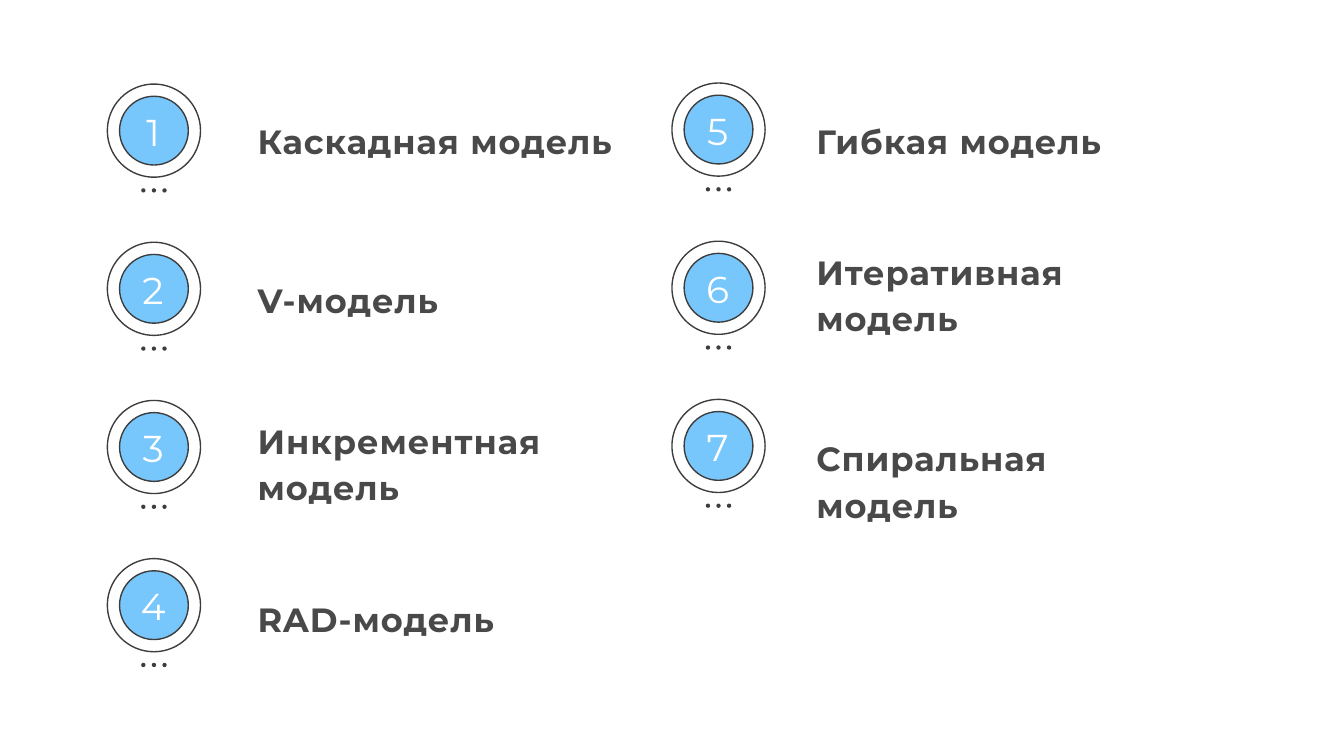
import pptx
import pptx.dml.color
import pptx.enum.shapes
import pptx.enum.text
import pptx.oxml.ns
import pptx.util
from pptx.util import Cm

WHITE = pptx.dml.color.RGBColor(0xFF, 0xFF, 0xFF)
BLUE = pptx.dml.color.RGBColor(0x77, 0xC6, 0xFC)
OUTLINE = pptx.dml.color.RGBColor(0x3D, 0x3D, 0x3D)
TEXT = pptx.dml.color.RGBColor(0x49, 0x49, 0x49)

# All lengths below are in centimetres
ROW_PITCH = 2.99
RING, DISC = 1.76, 1.3
DOT, DOT_PITCH, DOT_TOP = 0.08, 0.2, 1.97
LABEL_WIDTH, LABEL_HEIGHT = 7.27, 1.07

# Badge left, badge top, label left, first number, (label, label top)
COLUMNS = [
    (2.03, 1.59, 4.62, 1, [("Каскадная модель", 1.93), ("V-модель", 4.93),
                           ("Инкрементная модель", 7.59), ("RAD-модель", 10.95)]),
    (12.7, 1.57, 15.18, 5, [("Гибкая модель", 1.93), ("Итеративная модель", 4.39),
                            ("Спиральная модель", 7.92)]),
]


def add_circle(shapes, left, top, size, fill, line=None):
    circle = shapes.add_shape(pptx.enum.shapes.MSO_SHAPE.OVAL,
                              Cm(left), Cm(top), Cm(size), Cm(size))
    circle.shadow.inherit = False
    circle.fill.solid()
    circle.fill.fore_color.rgb = fill
    if line is None:
        circle.line.fill.background()
    else:
        circle.line.color.rgb = line
        circle.line.width = pptx.util.Pt(0.75)


def add_text(slide, words, left, top, width, height, size, color):
    frame = slide.shapes.add_textbox(Cm(left), Cm(top), Cm(width), Cm(height)).text_frame
    frame.word_wrap = True
    frame.margin_left = frame.margin_right = Cm(0.25)
    frame.margin_top = frame.margin_bottom = Cm(0.25)
    paragraph = frame.paragraphs[0]
    paragraph.text = words
    paragraph.font.name = "Montserrat"
    paragraph.font.size = pptx.util.Pt(size)
    paragraph.font.color.rgb = color
    return frame


def add_badge(slide, number, left, top):
    shapes = slide.shapes.add_group_shape().shapes
    inset = (RING - DISC) / 2
    # Ring and disc
    add_circle(shapes, left, top, RING, WHITE, OUTLINE)
    add_circle(shapes, left + inset, top + inset, DISC, BLUE, OUTLINE)
    # Three dots centred below the ring
    for step in (-1, 0, 1):
        dot_left = left + (RING - DOT) / 2 + step * DOT_PITCH
        add_circle(shapes, dot_left, top + DOT_TOP, DOT, OUTLINE)
    # Number
    frame = add_text(slide, str(number), left + inset, top + 0.41, 1.27, 0.97, 20, WHITE)
    frame.vertical_anchor = pptx.enum.text.MSO_ANCHOR.MIDDLE
    frame.paragraphs[0].alignment = pptx.enum.text.PP_ALIGN.CENTER


def add_label(slide, words, left, top):
    frame = add_text(slide, words, left, top, LABEL_WIDTH, LABEL_HEIGHT, 18, TEXT)
    paragraph = frame.paragraphs[0]
    paragraph.line_spacing = 1.15
    paragraph.font.bold = True
    # Letter spacing of half a point
    for properties in paragraph._p.iter(pptx.oxml.ns.qn("a:defRPr")):
        properties.set("spc", "50")


def add_column(slide, badge_left, badge_top, label_left, first_number, models):
    for row, (model, label_top) in enumerate(models):
        add_badge(slide, first_number + row, badge_left, badge_top + row * ROW_PITCH)
        add_label(slide, model, label_left, label_top)


def main():
    presentation = pptx.Presentation()
    presentation.slide_width = Cm(25.4)
    presentation.slide_height = Cm(14.29)
    slide = presentation.slides.add_slide(presentation.slide_layouts[6])
    for column in COLUMNS:
        add_column(slide, *column)
    presentation.save("out.pptx")


if __name__ == "__main__":
    main()
